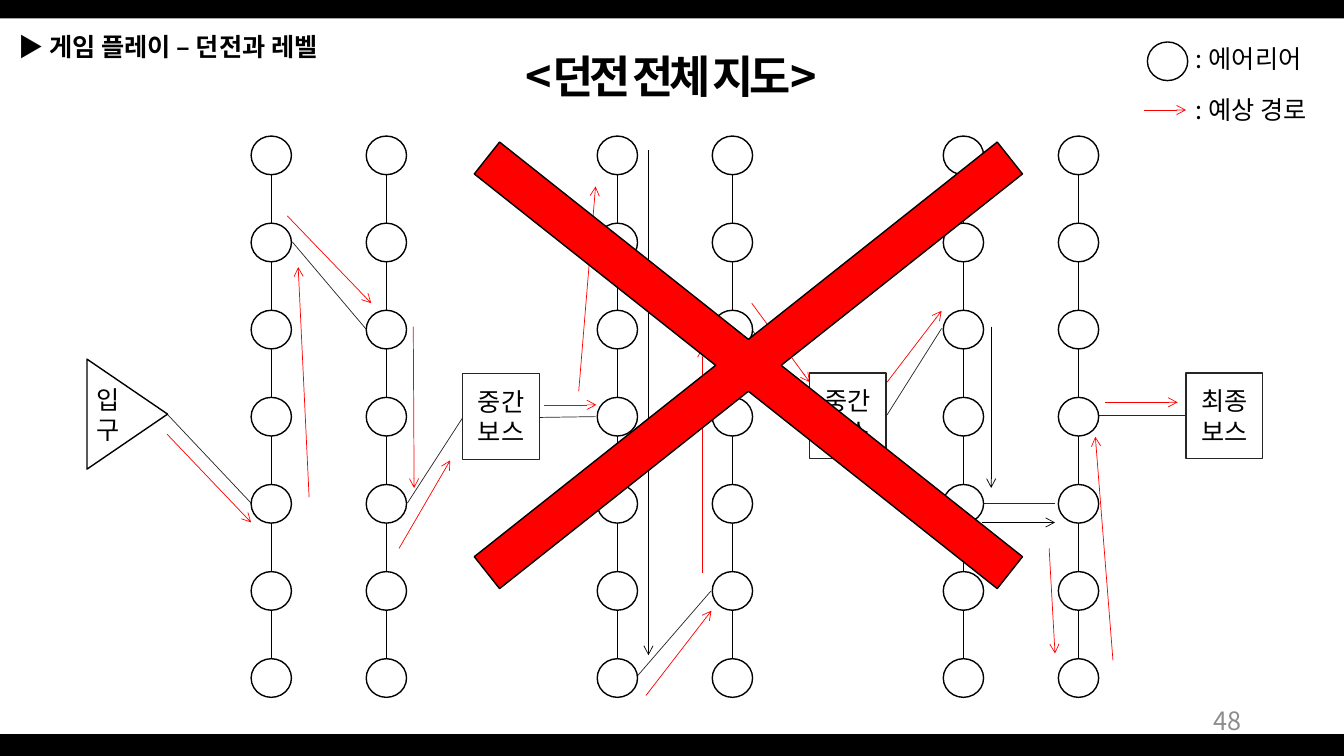
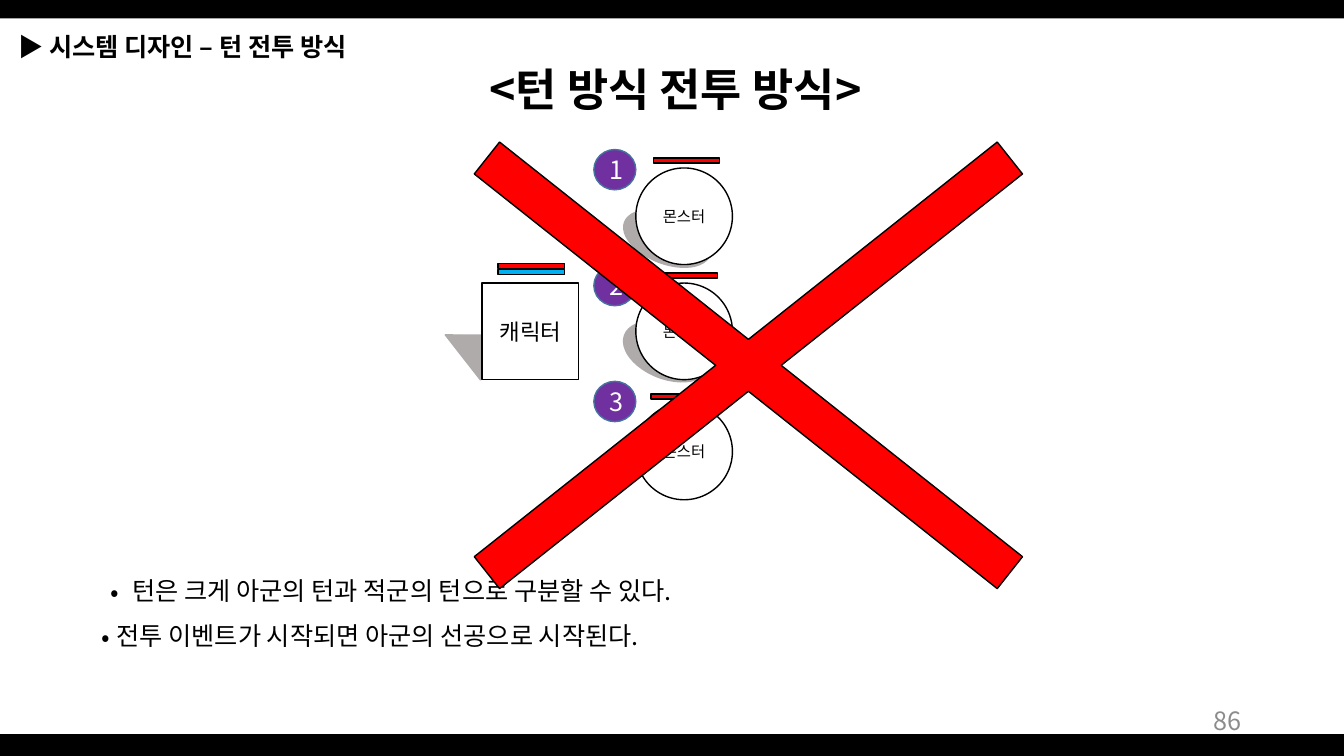
"""Build two game design slides: the dungeon map and the turn-based battle."""
import pptx
import pptx.util
import pptx.dml.color
import pptx.enum.dml
import pptx.enum.shapes
import pptx.enum.text
import pptx.oxml.ns
import lxml.etree
from dataclasses import dataclass


@dataclass(frozen=True)
class Theme:
    font: str = "Noto Sans CJK KR"
    black: str = "000000"
    white: str = "FFFFFF"
    red: str = "FF0000"
    blue: str = "00B0F0"
    purple: str = "7030A0"
    badge_edge: str = "43739E"
    edge: str = "262626"
    shade: str = "AFABAB"
    page: str = "8C8C8C"
    title: int = 32
    body: int = 18
    hero: int = 16
    monster: int = 11
    thin: float = 0.5
    outline: float = 1
    tight: str = "-300"


theme = Theme()
KIND = pptx.enum.shapes.MSO_SHAPE
ALIGN = pptx.enum.text.PP_ALIGN
ANCHOR = pptx.enum.text.MSO_ANCHOR
RGB = pptx.dml.color.RGBColor.from_string
qn = pptx.oxml.ns.qn
CELL = pptx.util.Inches(1 / 12)
COLUMNS, ROWS = 160, 90


def write(holder, lines, size=theme.body, colour=theme.black, align=ALIGN.LEFT, anchor=ANCHOR.TOP):
    """Fill a text holder; each line is a list of (words, bold, spacing)."""
    frame = holder.text_frame
    layout = {"word_wrap": True, "auto_size": pptx.enum.text.MSO_AUTO_SIZE.NONE, "vertical_anchor": anchor}
    for name, value in layout.items():
        setattr(frame, name, value)
    for index, pieces in enumerate(lines):
        paragraph = frame.add_paragraph() if index else frame.paragraphs[0]
        paragraph.alignment = align
        for words, bold, spacing in pieces:
            run = paragraph.add_run()
            run.text = words
            for name, value in {"name": theme.font, "size": pptx.util.Pt(size), "bold": bold}.items():
                setattr(run.font, name, value)
            run.font.color.rgb = RGB(colour)
            properties = run._r.get_or_add_rPr()
            properties.set("spc", spacing)
            lxml.etree.SubElement(properties, qn("a:ea"), typeface=theme.font)
    return frame


def place(slide, kind, box, fill=theme.white, line=theme.black, words=(), size=theme.body, colour=theme.black):
    """Draw a preset shape on the grid, with centred lines of text."""
    shape = slide.shapes.add_shape(kind, *(round(v * CELL) for v in box))
    shape.shadow.inherit = False
    shape.fill.solid()
    shape.fill.fore_color.rgb = RGB(fill)
    if line:
        shape.line.color.rgb = RGB(line)
        shape.line.width = pptx.util.Pt(theme.outline)
    else:
        shape.line.fill.background()
    if words:
        write(shape, [[(w, False, "0")] for w in words], size, colour, ALIGN.CENTER, ANCHOR.MIDDLE)
    return shape


deck = pptx.Presentation()
deck.slide_width, deck.slide_height = COLUMNS * CELL, ROWS * CELL

pages = [
    ("게임 플레이 – 던전과 레벨", [("<던전 전체 지도>", True, theme.tight)], (56.6, 5.2, 46.7, 7.7), "48"),
    ("시스템 디자인 – 턴 전투 방식",
     [("<", True, theme.tight), ("턴 방식 전투 방식", True, "0"), (">", True, theme.tight)],
     (39.5, 6.8, 81.8, 7.7), "86"),
]
for section, heading, heading_box, number in pages:
    slide = deck.slides.add_slide(deck.slide_layouts[5])
    for top, height in ((0, 2.2), (87.4, 2.6)):
        place(slide, KIND.RECTANGLE, (0, top, COLUMNS, height), theme.black, None)
    title = slide.shapes.title
    for side, length in zip(("left", "top", "width", "height"), heading_box):
        setattr(title, side, round(length * CELL))
    write(title, [heading], theme.title, align=ALIGN.CENTER)
    trail = slide.shapes.add_textbox(*(round(v * CELL) for v in (1, 3.2, 50, 4.8)))
    write(trail, [[("▶ ", False, "0"), (section, True, "0")]])
    page = slide.shapes.add_textbox(*(round(v * CELL) for v in (113, 83.4, 36, 4.8)))
    write(page, [[(number, False, "0")]], colour=theme.page, align=ALIGN.RIGHT, anchor=ANCHOR.MIDDLE)

dungeon, battle = deck.slides

AREA_W, AREA_H = 4.8, 4.6
area_lefts = [29.9 + 41.2 * floor + 13.7 * side for floor in range(3) for side in range(2)]
area_tops = [16.2 + 10.37 * row for row in range(7)]

corridors = [
    (left + AREA_W / 2, area_tops[0] + AREA_H / 2, left + AREA_W / 2, area_tops[-1]) for left in area_lefts
]
passages = [
    (19.9, 49.3, 29.9, 59.9),
    (34.8, 28.8, 43.6, 39.2),
    (48.5, 59.9, 55.1, 49.7),
    (64.2, 49.7, 70.9, 49.6),
    (75.6, 80.8, 84.6, 70.4),
    (89.5, 39.2, 96.4, 49.4),
    (112.1, 39.1, 105.6, 49.4),
    (125.6, 59.9, 116.8, 59.9),
    (141.2, 49.4, 130.4, 49.4),
]
expected_routes = [
    (19.9, 51.7, 29.9, 62.2),
    (36.8, 59.2, 35.5, 31.8),
    (34.2, 25.7, 44.2, 36.1),
    (49.2, 38.9, 49.3, 58.1),
    (47.5, 65.3, 53.6, 54.8),
    (64.8, 48.2, 71, 48.2),
    (68.9, 46.6, 70.9, 22.2),
    (76.9, 82.8, 84.7, 72.7),
    (83.6, 68.2, 83.6, 41.4),
    (89.5, 36.1, 96.4, 45.5),
    (105.6, 45.5, 112.1, 37),
    (124.9, 65.3, 125.6, 77.8),
    (132.5, 78.6, 130.4, 52),
    (131.5, 47.9, 140.2, 47.9),
    (136.2, 13.1, 141.2, 13.1),
]
dark_routes = [
    (77.2, 17.9, 77.2, 78),
    (118, 38.9, 118, 58.1),
    (116.9, 62.2, 125.6, 62.2),
]
for paths, colour, headed in (
    (corridors, theme.black, False),
    (passages, theme.edge, False),
    (expected_routes, theme.red, True),
    (dark_routes, theme.black, True),
):
    for ends in paths:
        route = dungeon.shapes.add_connector(
            pptx.enum.shapes.MSO_CONNECTOR.STRAIGHT, *(round(v * CELL) for v in ends))
        route.line.color.rgb = RGB(colour)
        route.line.width = pptx.util.Pt(theme.thin)
        if headed:
            lxml.etree.SubElement(route.line._get_or_add_ln(), qn("a:tailEnd"), type="arrow")
        lxml.etree.SubElement(route._element.spPr, qn("a:effectLst"))

for left in area_lefts:
    for top in area_tops:
        place(dungeon, KIND.OVAL, (left, top, AREA_W, AREA_H))

entrance = place(dungeon, KIND.ISOSCELES_TRIANGLE, (8.6, 44.5, 13.1, 9.6), words=["입구"])
entrance.rotation = 90
entrance.text_frame._txBody.bodyPr.set("vert", "vert270")

for left, top, rank in ((55.1, 44.5, "중간"), (96.4, 44.4, "중간"), (141.2, 44.4, "최종")):
    place(dungeon, KIND.RECTANGLE, (left, top, 9.1, 10.2), line=theme.edge, words=[rank, "보스"])

place(dungeon, KIND.OVAL, (136.6, 5, AREA_W, AREA_H))
for top, meaning in ((4.6, ": 에어리어"), (10.6, ": 예상 경로")):
    legend = dungeon.shapes.add_textbox(*(round(v * CELL) for v in (141.2, top, 18.8, 4.8)))
    write(legend, [[(meaning, False, "0")]])

rules = battle.shapes.add_textbox(*(round(v * CELL) for v in (10.9, 66.1, 82.9, 12.1)))
rule_frame = write(rules, [
    [("턴은 크게 아군의 턴과 적군의 턴으로 구분할 수 있다.", False, "0")],
    [("전투 이벤트가 시작되면 아군의 선공으로 시작된다.", False, "0")],
])
for rule, (margin, hanging) in zip(rule_frame.paragraphs, ((3.7, 2.6), (1.8, 1.8))):
    rule.line_spacing = 1.5
    settings = rule._p.get_or_add_pPr()
    settings.set("marL", str(round(margin * CELL)))
    settings.set("indent", str(round(-hanging * CELL)))
    lxml.etree.SubElement(settings, qn("a:buFont"), typeface=theme.font)
    lxml.etree.SubElement(settings, qn("a:buChar"), char="•")

hero_shade = place(battle, KIND.ISOSCELES_TRIANGLE, (54.2, 36.5, 8.6, 6.8), theme.shade, theme.shade)
hero_shade.adjustments[0] = 0
hero_shade.rotation = 322
for top, height in ((38.6, 6.5), (25.4, 6)):
    place(battle, KIND.OVAL, (74, top, 10.9, height), theme.shade, theme.shade).rotation = 21.1

FIGURE = 11.5
for top in (20, 33.7, 48):
    place(battle, KIND.OVAL, (75.7, top, FIGURE, FIGURE), words=["몬스터"], size=theme.monster)
place(battle, KIND.RECTANGLE, (57.4, 33.7, FIGURE, FIGURE), words=["캐릭터"], size=theme.hero)

for left, top, gauge in (
    (77.8, 18.8, theme.red),
    (59.3, 31.4, theme.red),
    (77.5, 32.5, theme.red),
    (77.5, 46.9, theme.red),
    (59.3, 32.1, theme.blue),
):
    place(battle, KIND.RECTANGLE, (left, top, 7.9, 0.6), gauge)

for turn in range(3):
    place(battle, KIND.OVAL, (70.7, 17.8 + 13.8 * turn, 5, 4.8), theme.purple, theme.badge_edge,
          [str(turn + 1)], colour=theme.white)

for slide in deck.slides:
    rejected = place(slide, KIND.MATH_MULTIPLY, (29.2, -4, 119.8, 95), theme.red)
    rejected.adjustments[0] = 0.051

deck.save("out.pptx")
